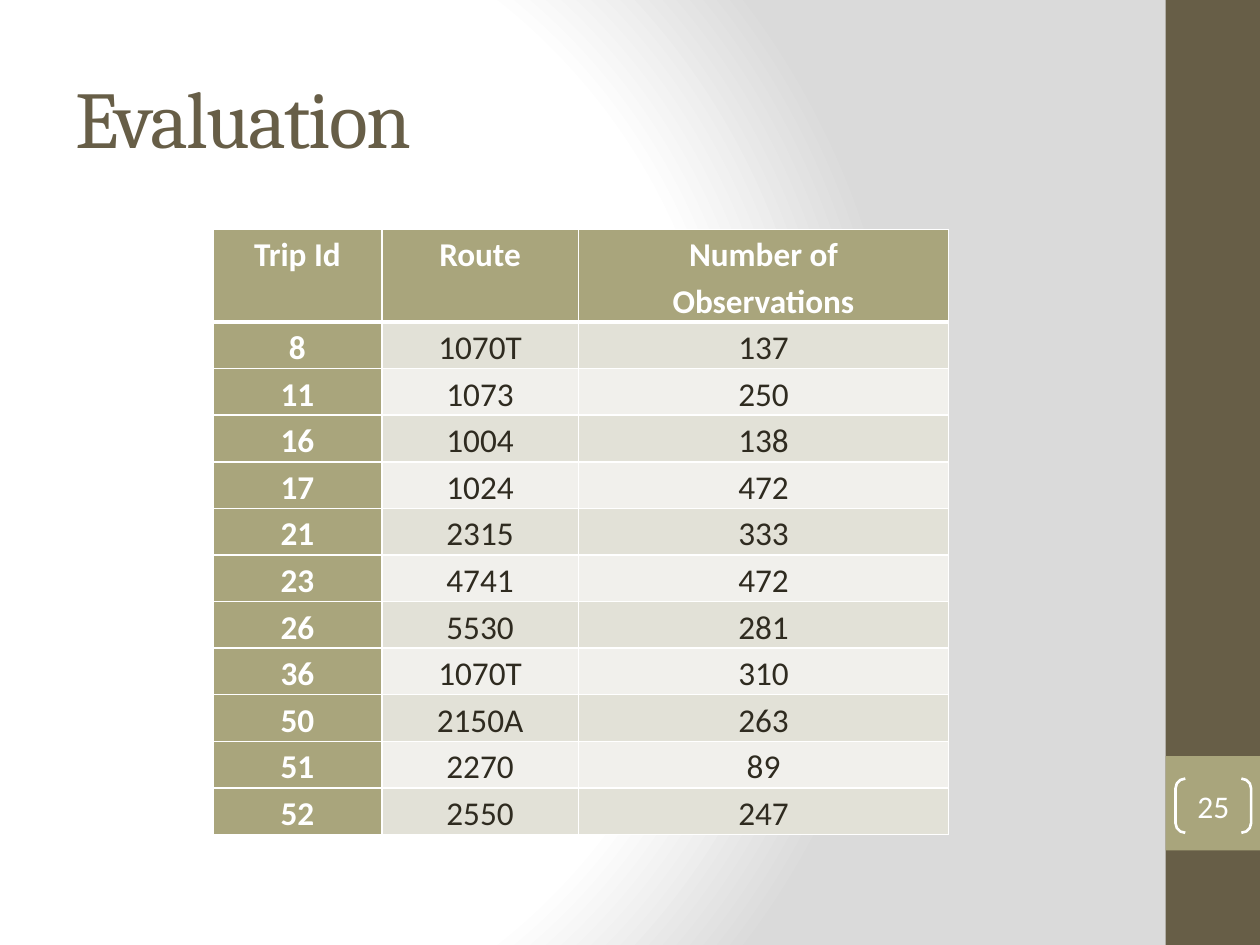
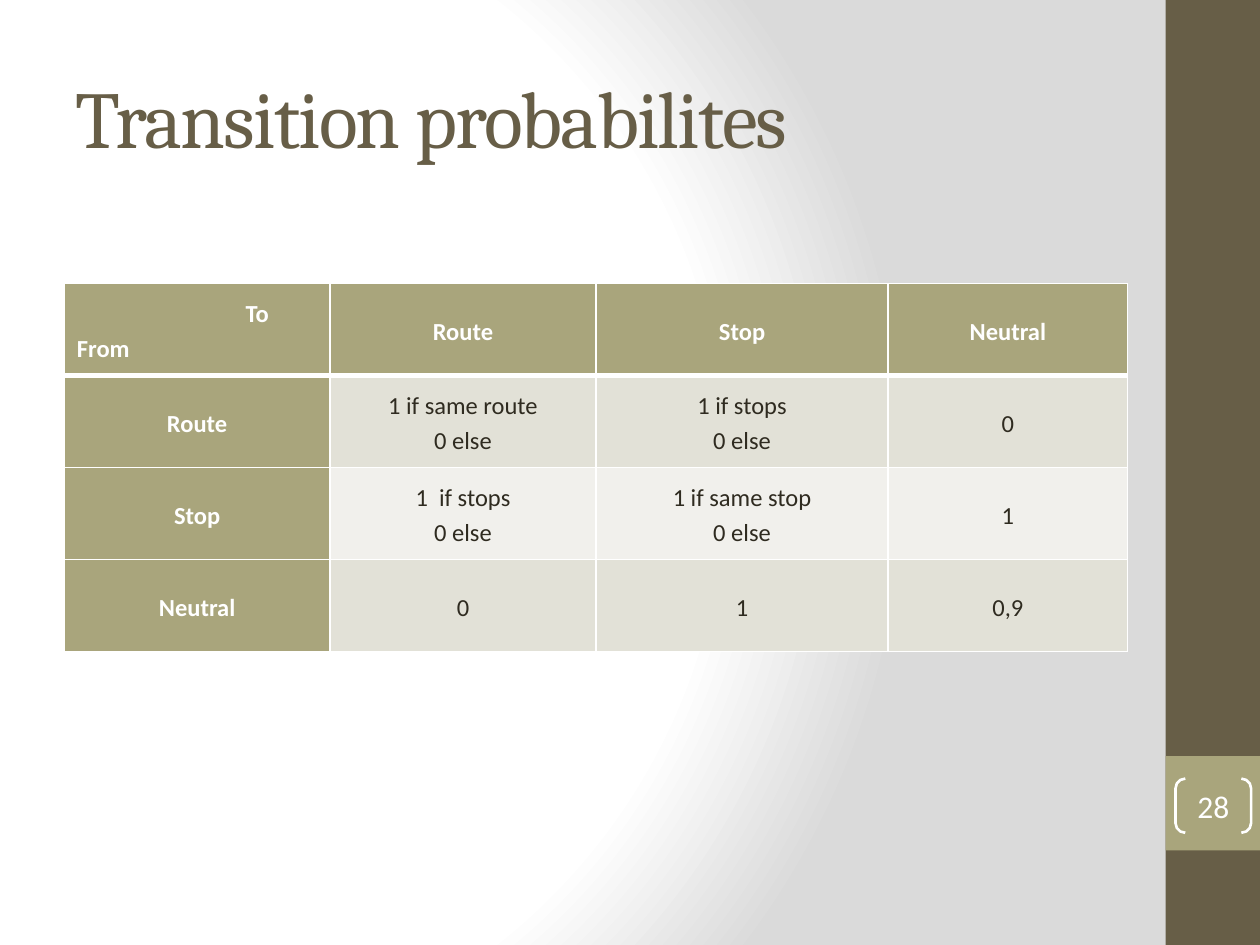
from lxml import etree
from pptx import Presentation
from pptx.dml.color import RGBColor
from pptx.enum.shapes import MSO_SHAPE as Shape
from pptx.enum.text import MSO_ANCHOR as Anchor, MSO_AUTO_SIZE as AutoSize, PP_ALIGN as Align
from pptx.oxml import parse_xml
from pptx.oxml.ns import nsdecls, qn
from pptx.util import Inches, Pt

COLORS = {
    "olive": "675E47",
    "sage": "A9A57C",
    "band_dark": "E2E1D7",
    "band_light": "F1F0EC",
    "ink": "2F2B20",
    "white": "FFFFFF",
    "grey": "DADADA",
}
COLUMNS, ROWS = 40, 30
TITLE_ONLY = 5

TITLE_FONT = {"name": "Cambria", "size": Pt(46), "bold": False}
NUMBER_FONT = {"name": "Calibri", "size": Pt(18)}
TITLE_FRAME = {"vertical_anchor": Anchor.MIDDLE, "auto_size": AutoSize.NONE, "word_wrap": True}
NUMBER_FRAME = {
    "vertical_anchor": Anchor.MIDDLE, "word_wrap": False,
    "margin_left": 0, "margin_right": 0, "margin_top": 0, "margin_bottom": 0,
}
TABLE_FLAGS = {"first_row": True, "first_col": True, "horz_banding": False}

TRIPS = [
    ("Trip Id", "Route", "Number of Observations"),
    ("8", "1070T", "137"),
    ("11", "1073", "250"),
    ("16", "1004", "138"),
    ("17", "1024", "472"),
    ("21", "2315", "333"),
    ("23", "4741", "472"),
    ("26", "5530", "281"),
    ("36", "1070T", "310"),
    ("50", "2150A", "263"),
    ("51", "2270", "89"),
    ("52", "2550", "247"),
]
TRANSITIONS = [
    ("To\nFrom", "Route", "Stop", "Neutral"),
    ("Route", "1 if same route\n0 else", "1 if stops\n0 else", "0"),
    ("Stop", "1  if stops\n0 else", "1 if same stop\n0 else", "1"),
    ("Neutral", "0", "1", "0,9"),
]


def assign(target, values):
    for name, value in values.items():
        setattr(target, name, value)


def rgb(color):
    return RGBColor.from_string(COLORS[color])


class Deck:
    """Shared style plus the slide being built; lengths are grid columns and rows."""

    def __init__(self):
        self.prs = Presentation()
        assign(self.prs, {"slide_width": Inches(10), "slide_height": Inches(7.5)})
        self.slide = None
        self.set_background()

    def x(self, columns):
        return round(self.prs.slide_width * columns / COLUMNS)

    def y(self, rows):
        return round(self.prs.slide_height * rows / ROWS)

    def box(self, left, top, width, height):
        return self.x(left), self.y(top), self.x(width), self.y(height)

    def set_background(self):
        """Give the master a circular gradient centred left of the middle."""
        master = self.prs.slide_master
        master.background.fill.gradient()
        default = master.element.find(".//" + qn("p:bgPr")).find(qn("a:gradFill"))
        stops = "".join(
            f'<a:gs pos="{share * 1000}"><a:srgbClr val="{COLORS[color]}"/></a:gs>'
            for share, color in ((0, "white"), (75, "white"), (100, "grey")))
        default.getparent().replace(default, parse_xml(
            f'<a:gradFill {nsdecls("a")} rotWithShape="1"><a:gsLst>{stops}</a:gsLst>'
            '<a:path path="circle">'
            '<a:fillToRect l="20000" t="50000" r="100000" b="50000"/>'
            '</a:path></a:gradFill>'))

    def add_slide(self, title, number):
        self.slide = self.prs.slides.add_slide(self.prs.slide_layouts[TITLE_ONLY])
        self.band(37, 0, 3, 30, "olive")
        self.band(37, 24, 3, 3, "sage")
        self.title(title)
        self.page_number(number)

    def style(self, paragraph, font, color, align):
        paragraph.alignment = align
        for run in paragraph.runs:
            assign(run.font, font)
            run.font.color.rgb = rgb(color)

    def title(self, text):
        title = self.slide.shapes.title
        assign(title, dict(zip(("left", "top", "width", "height"), self.box(2, 1.2, 33.32, 5))))
        assign(title.text_frame, {**TITLE_FRAME, "text": text})
        heading = title.text_frame.paragraphs[0]
        self.style(heading, TITLE_FONT, "olive", Align.LEFT)
        heading.runs[0]._r.get_or_add_rPr().set("spc", "-100")

    def band(self, left, top, width, height, color):
        band = self.slide.shapes.add_shape(Shape.RECTANGLE, *self.box(left, top, width, height))
        band.shadow.inherit = False
        band.fill.solid()
        band.fill.fore_color.rgb = rgb(color)
        band.line.fill.background()

    def page_number(self, number):
        bracket = self.slide.shapes.add_shape(
            Shape.DOUBLE_BRACKET, *self.box(37.32, 24.72, 2.4, 1.72))
        bracket.shadow.inherit = False
        bracket.adjustments[0] = 0.18
        bracket.fill.background()
        bracket.line.color.rgb = rgb("white")
        bracket.line.width = Pt(1.5)
        assign(bracket.text_frame, {**NUMBER_FRAME, "text": str(number)})
        self.style(bracket.text_frame.paragraphs[0], NUMBER_FONT, "white", Align.CENTER)

    def borders(self, cell, row):
        """Draw white cell edges, thicker between the header and the body."""
        widths = {"L": 1, "R": 1, "T": 3 if row == 1 else 1, "B": 3 if row == 0 else 1}
        properties = cell._tc.get_or_add_tcPr()
        for side, width in widths.items():
            edge = etree.SubElement(properties, qn(f"a:ln{side}"), w=str(Pt(width)))
            fill = etree.SubElement(edge, qn("a:solidFill"))
            etree.SubElement(fill, qn("a:srgbClr"), val=COLORS["white"])

    def table(self, records, left, top, widths, row_height, size, inset, anchor):
        frame = self.slide.shapes.add_table(
            len(records), len(widths),
            *self.box(left, top, sum(widths), row_height * len(records)))
        table = frame.table
        assign(table, TABLE_FLAGS)
        for column, width in zip(table.columns, widths):
            column.width = self.x(width)
        cell_format = {
            "margin_left": Inches(inset), "margin_right": Inches(inset),
            "margin_top": 0, "margin_bottom": 0, "vertical_anchor": anchor,
        }
        for row, record in enumerate(records):
            table.rows[row].height = self.y(row_height)
            for column, text in enumerate(record):
                heading = row == 0 or column == 0
                cell = table.cell(row, column)
                assign(cell, {**cell_format, "text": text})
                self.borders(cell, row)
                cell.fill.solid()
                body_fill = "band_dark" if row % 2 else "band_light"
                cell.fill.fore_color.rgb = rgb("sage" if heading else body_fill)
                font = {"name": "Calibri", "size": Pt(size), "bold": heading}
                for paragraph in cell.text_frame.paragraphs:
                    paragraph.line_spacing = 1.15
                    self.style(paragraph, font, "white" if heading else "ink", Align.CENTER)
        return table

    def split_corner(self, table, indent):
        """Set the two axis names of the corner cell apart: first indented, second at left."""
        to_axis, from_axis = table.cell(0, 0).text_frame.paragraphs
        to_axis.alignment = Align.LEFT
        to_axis._p.get_or_add_pPr().set("marL", str(self.x(indent)))
        from_axis.alignment = Align.JUSTIFY


def main():
    deck = Deck()

    deck.add_slide("Evaluation", 25)
    deck.table(TRIPS, 6.76, 7.28, (5.36, 6.24, 11.76), 1.48,
               size=19, inset=0.14, anchor=Anchor.TOP)

    deck.add_slide("Transition probabilites", 28)
    transitions = deck.table(TRANSITIONS, 2.04, 9, (8.44, 8.44, 9.28, 7.6), 2.92,
                             size=14, inset=0.1, anchor=Anchor.MIDDLE)
    deck.split_corner(transitions, 5.36)

    deck.prs.save("out.pptx")


if __name__ == "__main__":
    main()
